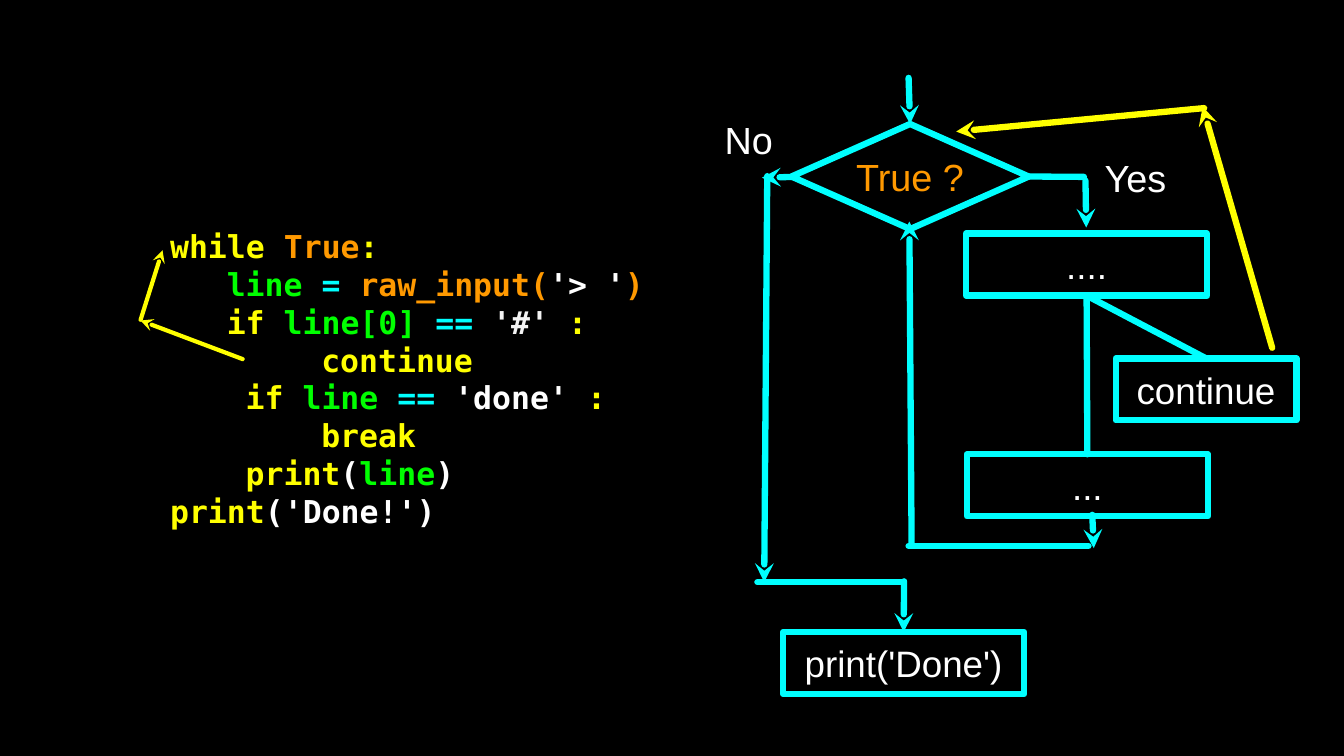
from pptx import Presentation
from pptx.dml.color import RGBColor
from pptx.enum.shapes import MSO_CONNECTOR, MSO_SHAPE
from pptx.enum.text import MSO_ANCHOR, PP_ALIGN
from pptx.oxml.ns import qn
from pptx.util import Inches, Pt
from lxml import etree

BLACK = RGBColor(0x00, 0x00, 0x00)
WHITE = RGBColor(0xFF, 0xFF, 0xFF)
PALE = RGBColor(0xF3, 0xF3, 0xF3)
CYAN = RGBColor(0x00, 0xFF, 0xFF)
YELLOW = RGBColor(0xFF, 0xFF, 0x00)
ORANGE = RGBColor(0xFF, 0x99, 0x00)
GREEN = RGBColor(0x00, 0xFF, 0x00)

RECT, DIAMOND = MSO_SHAPE.RECTANGLE, MSO_SHAPE.DIAMOND
STRAIGHT = MSO_CONNECTOR.STRAIGHT
MIDDLE = MSO_ANCHOR.MIDDLE
LEFT, CENTER = PP_ALIGN.LEFT, PP_ALIGN.CENTER
TOP, BOTTOM, RIGHT = 0, 2, 3  # connection sites

SANS, MONO = "Arial", "DejaVu Sans Mono"
CHAR_W = 0.25  # width of one 30 pt code character


def add_run(p, text, font=SANS, size=36, color=WHITE, bold=False):
    r = p.add_run()
    r.text = text
    r.font.name, r.font.size, r.font.bold = font, Pt(size), bold
    r.font.color.rgb = color


class FlowSlide:
    def __init__(self, prs):
        self.s = prs.slides.add_slide(prs.slide_layouts[6])
        self.s.background.fill.solid()
        self.s.background.fill.fore_color.rgb = BLACK

    def frame(self, sp):
        tf = sp.text_frame
        tf.word_wrap = True
        tf.vertical_anchor = MIDDLE
        tf.margin_left = tf.margin_right = tf.margin_top = tf.margin_bottom = 0
        return tf

    def stroke(self, sp, color, width):
        sp.line.color.rgb, sp.line.width = color, Pt(width)
        ln = sp.line._get_or_add_ln()
        ln.set("cap", "rnd")
        etree.SubElement(ln, qn("a:round"))
        return ln

    def box(self, x, y, w, h, text, kind=RECT, **fmt):
        sp = self.s.shapes.add_shape(kind, Inches(x), Inches(y), Inches(w), Inches(h))
        sp.shadow.inherit = False
        sp.fill.background()
        self.stroke(sp, CYAN, 6)
        p = self.frame(sp).paragraphs[0]
        p.alignment = CENTER
        add_run(p, text, **fmt)
        return sp

    def label(self, x, y, w, h, text):
        sp = self.s.shapes.add_textbox(Inches(x), Inches(y), Inches(w), Inches(h))
        p = self.frame(sp).paragraphs[0]
        p.alignment = CENTER
        add_run(p, text)

    def code(self, x, y, w, h, lines):
        sp = self.s.shapes.add_textbox(Inches(x), Inches(y), Inches(w), Inches(h))
        tf = self.frame(sp)
        for i, (indent, runs) in enumerate(lines):
            p = tf.add_paragraph() if i else tf.paragraphs[0]
            p.alignment = LEFT
            p._p.get_or_add_pPr().set("marL", str(Inches(indent * CHAR_W)))
            for text, color in runs:
                add_run(p, text, font=MONO, size=30, color=color, bold=True)

    def line(self, start, end, color=CYAN, width=6, arrow=True, begin=None, finish=None):
        """Draw from start to end; begin and finish are (shape, site) joints."""
        cn = self.s.shapes.add_connector(STRAIGHT, *map(Inches, start + end))
        if begin:
            cn.begin_connect(*begin)
        if finish:
            cn.end_connect(*finish)
        ln = self.stroke(cn, color, width)
        if arrow:
            etree.SubElement(ln, qn("a:tailEnd"), type="stealth")
        etree.SubElement(cn._element.spPr, qn("a:effectLst"))


def main():
    prs = Presentation()
    prs.slide_width, prs.slide_height = Inches(17.78), Inches(10)
    fs = FlowSlide(prs)

    # Code listing: indent in characters, then coloured runs
    fs.code(2.25, 2.58, 6.88, 4.85, [
        (0, [("while ", YELLOW), ("True", ORANGE), (":", YELLOW)]),
        (3, [("line ", GREEN), ("= ", CYAN), ("raw_input(", ORANGE),
             ("'> '", WHITE), (")", ORANGE)]),
        (3, [("if", YELLOW), (" line[0] ", GREEN), ("== ", CYAN),
             ("'#' ", PALE), (":", YELLOW)]),
        (8, [("continue", YELLOW)]),
        (4, [("if ", YELLOW), ("line ", GREEN), ("== ", CYAN),
             ("'done' ", WHITE), (":", YELLOW)]),
        (8, [("break", YELLOW)]),
        (4, [("print", YELLOW), ("(", WHITE), ("line", GREEN), (")", WHITE)]),
        (0, [("print", YELLOW), ("('Done!')", WHITE)]),
    ])

    # Flowchart nodes
    test = fs.box(10.47, 1.64, 3.14, 1.39, "True ?", kind=DIAMOND, color=ORANGE)
    first = fs.box(12.78, 3.09, 3.19, 0.82, "....", size=35)
    skip = fs.box(14.76, 4.74, 2.39, 0.82, "continue", size=35)
    last = fs.box(12.79, 6.01, 3.19, 0.82, "...", size=35)
    done = fs.box(10.36, 8.36, 3.19, 0.82, "print('Done')", size=35)
    fs.label(9.51, 1.51, 0.79, 0.68, "No")
    fs.label(14.54, 2, 0.96, 0.68, "Yes")

    # Entry and Yes branch
    fs.line((12.02, 1.03), (12.04, 1.65), finish=(test, TOP))
    fs.line((13.6, 2.33), (14.34, 2.34), arrow=False, begin=(test, RIGHT))
    fs.line((14.36, 2.39), (14.37, 3.01))
    fs.line((14.38, 3.91), (14.4, 6.01), arrow=False,
            begin=(first, BOTTOM), finish=(last, TOP))
    fs.line((14.38, 3.91), (15.97, 4.72), arrow=False,
            begin=(first, BOTTOM), finish=(skip, TOP))

    # Loop back to the test
    fs.line((14.45, 6.81), (14.47, 7.25))
    fs.line((14.4, 7.22), (12.02, 7.22), arrow=False)
    fs.line((12.06, 7.22), (12.03, 2.93))

    # No branch
    fs.line((10.52, 2.34), (10.08, 2.35))
    fs.line((10.15, 2.33), (10.11, 7.7))
    fs.line((10.02, 7.7), (11.94, 7.7), arrow=False)
    fs.line((11.96, 7.69), (11.94, 8.39), finish=(done, TOP))

    # Jumps made by continue, in the chart and beside the code
    fs.line((16.83, 4.6), (15.91, 1.41), color=YELLOW)
    fs.line((15.93, 1.43), (12.65, 1.74), color=YELLOW)
    fs.line((3.21, 4.75), (1.86, 4.24), color=YELLOW, width=4)
    fs.line((1.86, 4.23), (2.15, 3.31), color=YELLOW, width=4)

    prs.save("out.pptx")


if __name__ == "__main__":
    main()
